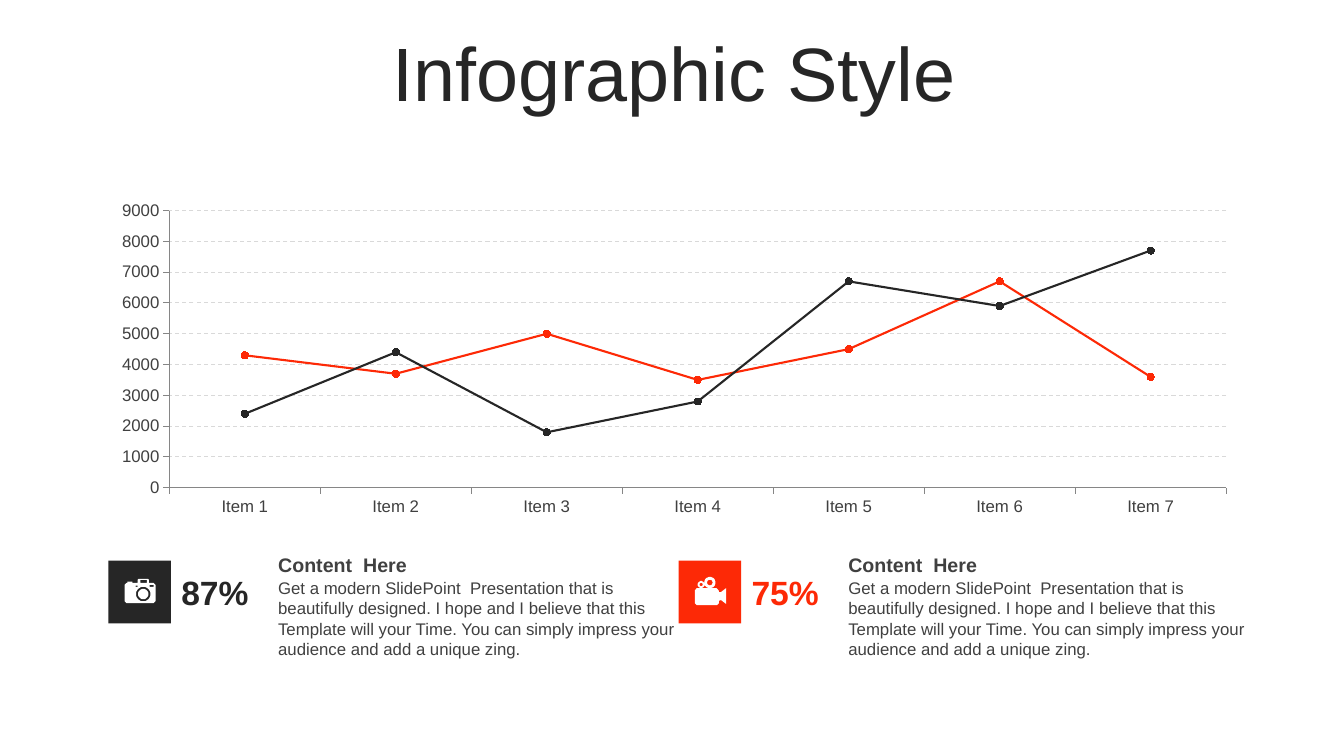
from math import cos, pi, sin

from lxml import etree
from pptx import Presentation
from pptx import util as u
from pptx.chart.data import CategoryChartData
from pptx.dml.color import RGBColor
from pptx.enum import chart as ch, dml, shapes, text

# Content
FONT, DARK, RED, GREY = "Arial", "262626", "FD2906", "404040"
TITLE = "Infographic Style"
ITEMS = [f"Item {n}" for n in range(1, 8)]
SERIES = [
    ("Series 1", RED, (4300, 3700, 5000, 3500, 4500, 6700, 3600)),
    ("Series 2", DARK, (2400, 4400, 1800, 2800, 6700, 5900, 7700)),
]
HEAD = "Content  Here"
BODY = ("Get a modern SlidePoint  Presentation that is beautifully designed. "
        "I hope and I believe that this Template will your Time. You can simply "
        "impress your audience and add a unique zing.")


def ring(x, y, r):
    return [(x + r * cos(k * pi / 16), y + r * sin(k * pi / 16)) for k in range(32)]


def rect(x, y, x2, y2):
    return [(x, y), (x2, y), (x2, y2), (x, y2)]


# Icon contours in 0.1 mm from the tile corner; inner contours cut holes
CAMERA = [
    [(76, 46), (100, 46), (102, 48), (102, 56), (114, 56), (119, 61), (119, 102),
     (114, 107), (46, 107), (41, 102), (41, 61), (46, 56), (48, 56), (48, 53),
     (61, 53), (61, 56), (74, 56), (74, 48)],
    rect(81, 48, 97, 56), rect(69, 63, 74, 66), rect(104, 61, 114, 66),
    ring(88, 84, 18), ring(88, 84, 13),
]
MOVIE = [
    [(46, 69), (96, 69), (102, 76), (102, 79), (107, 79), (120, 69), (120, 109),
     (107, 99), (102, 101), (102, 107), (97, 112), (46, 112), (41, 107), (41, 75)],
    ring(79, 55, 14), ring(79, 55, 7), ring(57, 60, 9), ring(57, 60, 4),
]
CARDS = [("87%", DARK, CAMERA), ("75%", RED, MOVIE)]
LEFT, TOP, STEP, TILE = 2.73, 14.13, 14.37, 1.58

prs = Presentation()
prs.slide_width, prs.slide_height = u.Cm(33.87), u.Cm(19.05)
slide = prs.slides.add_slide(prs.slide_layouts[5])


def tint(code):
    return RGBColor.from_string(code)


def style(font, size, color, bold=False):
    font.name, font.size, font.bold = FONT, u.Pt(size), bold
    font.color.rgb = tint(color)


def write(box, words, size, color, bold=False, anchor=text.MSO_ANCHOR.MIDDLE,
          align=text.PP_ALIGN.LEFT, space=1.0):
    frame = box.text_frame
    frame.word_wrap, frame.vertical_anchor = True, anchor
    frame.auto_size = text.MSO_AUTO_SIZE.NONE
    par = frame.paragraphs[0]
    par.alignment, par.line_spacing = align, space
    run = par.add_run()
    run.text = words
    style(run.font, size, color, bold)


def label(x, y, w, h, words, size, color, **look):
    box = slide.shapes.add_textbox(u.Cm(x), u.Cm(y), u.Cm(w), u.Cm(h))
    write(box, words, size, color, **look)


def paint(shape, color):
    shape.shadow.inherit = False
    shape.fill.solid()
    shape.fill.fore_color.rgb = tint(color)
    shape.line.fill.background()


def draw(x, y, parts):
    first, *rest = parts
    pen = slide.shapes.build_freeform(*first[0], scale=u.Cm(0.01))
    pen.add_line_segments(first[1:], close=True)
    for part in rest:
        pen.move_to(*part[0])
        pen.add_line_segments(part[1:], close=True)
    paint(pen.convert_to_shape(u.Cm(x), u.Cm(y)), "FFFFFF")


def stroke(line, color, width):
    line.color.rgb = tint(color)
    line.width = u.Pt(width)


# Title
title = slide.shapes.title
title.left, title.top, title.width, title.height = map(u.Cm, (0.91, 0.94, 32.16, 2.01))
write(title, TITLE, 54, DARK, align=text.PP_ALIGN.CENTER, space=0.9)

# Line chart
data = CategoryChartData()
data.categories = ITEMS
for name, _, vals in SERIES:
    data.add_series(name, vals)
chart = slide.shapes.add_chart(
    ch.XL_CHART_TYPE.LINE_MARKERS, u.Cm(2.5), u.Cm(4.91), u.Cm(28.98), u.Cm(8.26), data).chart
chart.has_legend = chart.has_title = False
style(chart.font, 12, GREY)
plot = chart.plots[0]
plot.vary_by_categories = False
for ser, (_, color, _) in zip(plot.series, SERIES):
    ser.smooth = False
    stroke(ser.format.line, color, 1.5)
    mark = ser.marker
    mark.style, mark.size = ch.XL_MARKER_STYLE.CIRCLE, 5
    mark.format.fill.solid()
    mark.format.fill.fore_color.rgb = tint(color)
    stroke(mark.format.line, color, 0.75)

for axis in (chart.category_axis, chart.value_axis):
    style(axis.tick_labels.font, 12, GREY)
    axis.major_tick_mark = ch.XL_TICK_MARK.OUTSIDE
    axis.minor_tick_mark = ch.XL_TICK_MARK.NONE
    stroke(axis.format.line, "868686", 0.75)
axis = chart.value_axis
axis.minimum_scale, axis.maximum_scale, axis.major_unit = 0, 9000, 1000
axis.has_major_gridlines = True
grid = axis.major_gridlines.format.line
stroke(grid, "D9D9D9", 0.75)
grid.dash_style = dml.MSO_LINE.DASH

# Fixed plot area
NS = "http://schemas.openxmlformats.org/drawingml/2006/chart"
area = chart.element.find(f".//{{{NS}}}plotArea")
for old in area.findall(f"{{{NS}}}layout"):
    area.remove(old)
layout = etree.Element(f"{{{NS}}}layout")
area.insert(0, layout)
manual = etree.SubElement(layout, f"{{{NS}}}manualLayout")
for tag, val in (("layoutTarget", "inner"), ("xMode", "edge"), ("yMode", "edge"),
                 ("x", 0.061), ("y", 0.048), ("w", 0.919), ("h", 0.846)):
    etree.SubElement(manual, f"{{{NS}}}{tag}", val=str(val))

# Cards below the chart
for n, (share, color, icon) in enumerate(CARDS):
    x = LEFT + n * STEP
    label(x + 4.03, 13.79, 10.97, 0.86, HEAD, 14, GREY, bold=True)
    label(x + 4.03, 14.44, 10.97, 2.31, BODY, 12, GREY, anchor=text.MSO_ANCHOR.TOP)
    label(x + 1.59, 14.28, 2.24, 1.27, share, 24, color, bold=True)
    tile = slide.shapes.add_shape(
        shapes.MSO_SHAPE.RECTANGLE, u.Cm(x), u.Cm(TOP), u.Cm(TILE), u.Cm(TILE))
    paint(tile, color)
    draw(x, TOP, icon)

prs.save("out.pptx")
